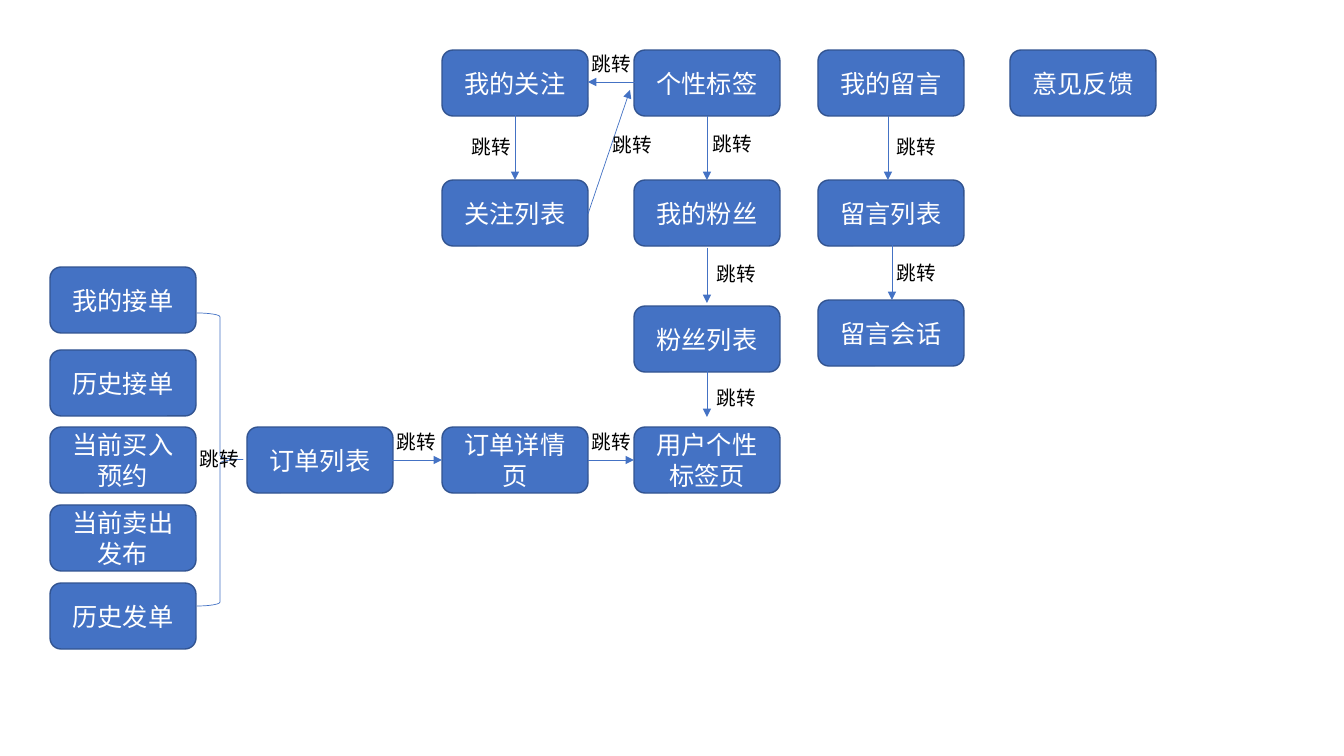
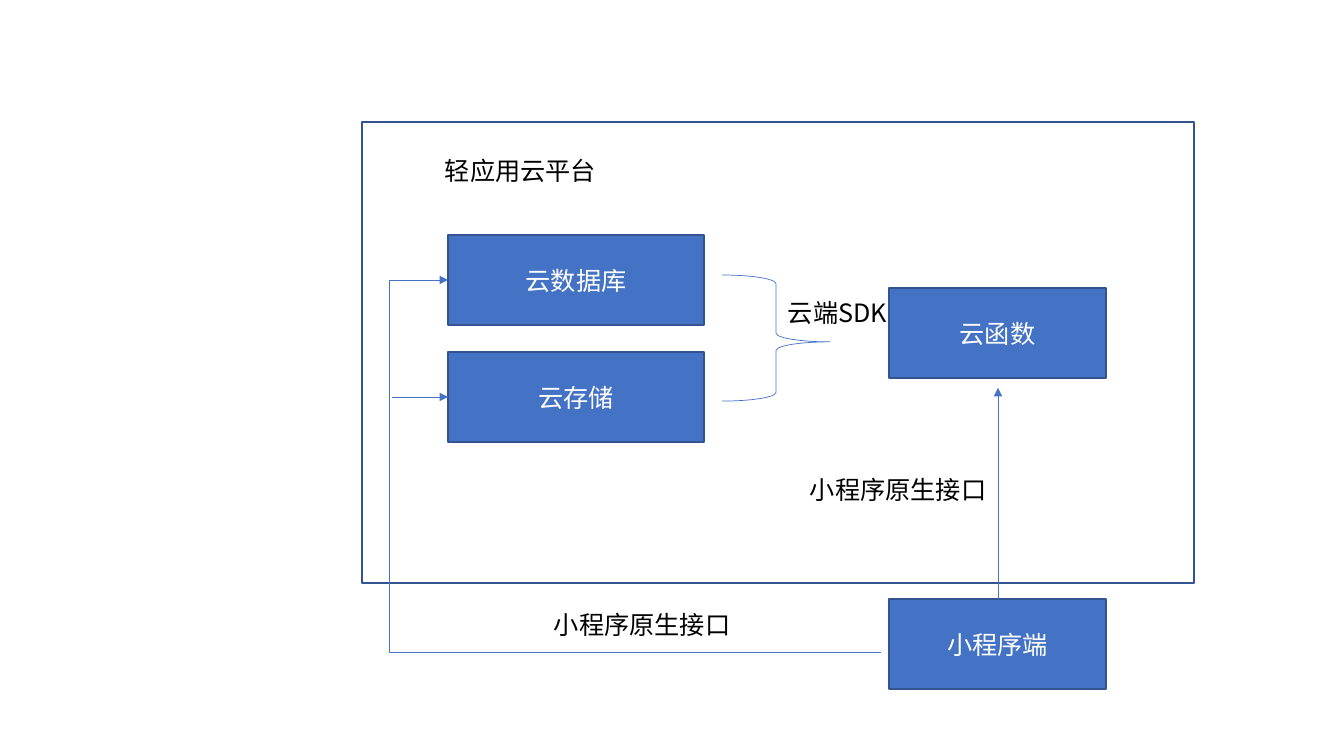
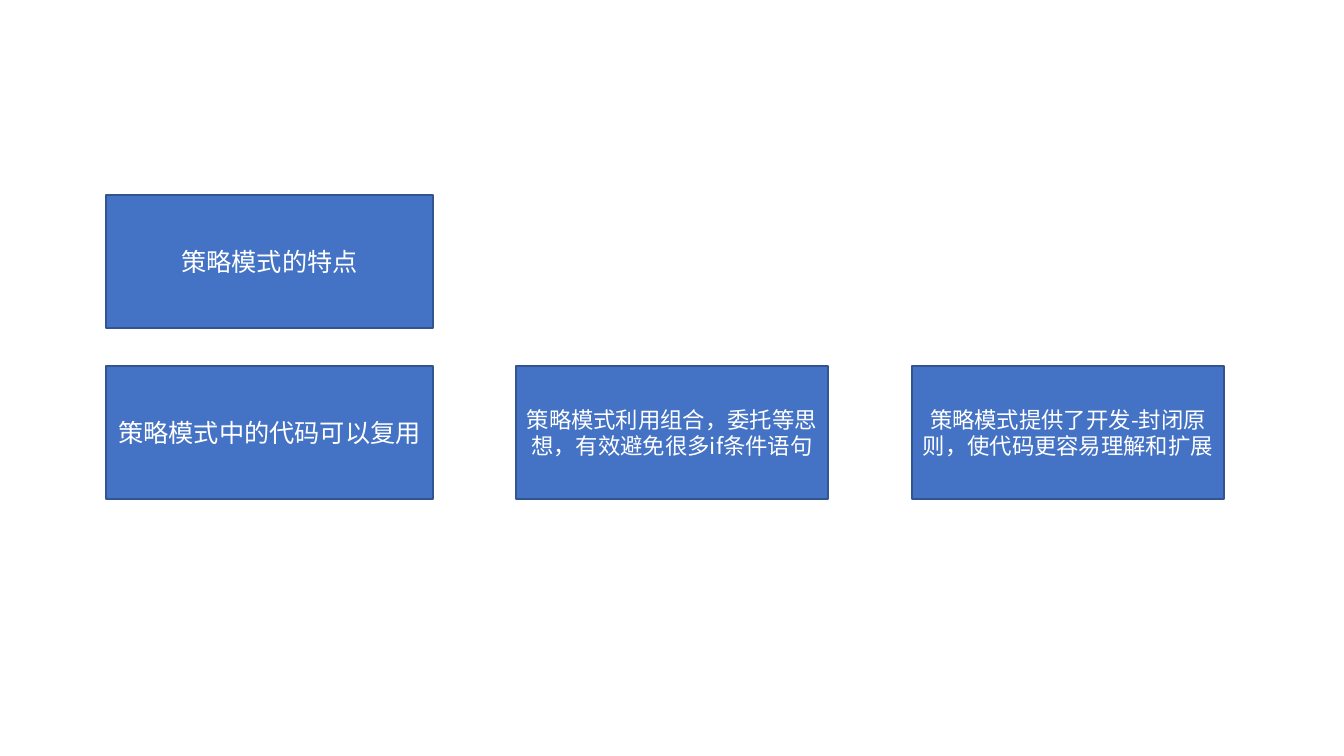
from dataclasses import dataclass

from pptx import Presentation
from pptx.dml.color import RGBColor
from pptx.enum.shapes import MSO_CONNECTOR, MSO_SHAPE
from pptx.enum.text import MSO_ANCHOR, MSO_AUTO_SIZE, PP_ALIGN
from pptx.oxml.ns import qn
from pptx.util import Emu, Pt

RECT, ROUNDED = MSO_SHAPE.RECTANGLE, MSO_SHAPE.ROUNDED_RECTANGLE
LEFT_BRACE, RIGHT_BRACE = MSO_SHAPE.LEFT_BRACE, MSO_SHAPE.RIGHT_BRACE
STRAIGHT, ELBOW = MSO_CONNECTOR.STRAIGHT, MSO_CONNECTOR.ELBOW
CENTER, LEFT = PP_ALIGN.CENTER, PP_ALIGN.LEFT
MIDDLE, TOP = MSO_ANCHOR.MIDDLE, MSO_ANCHOR.TOP
FIT_SHAPE = MSO_AUTO_SIZE.SHAPE_TO_FIT_TEXT


@dataclass(frozen=True)
class Theme:
    font: str = "Noto Sans CJK SC"
    blue: RGBColor = RGBColor(0x44, 0x72, 0xC4)
    edge: RGBColor = RGBColor(0x32, 0x54, 0x91)
    white: RGBColor = RGBColor(0xFF, 0xFF, 0xFF)
    black: RGBColor = RGBColor(0, 0, 0)
    box_size: int = 18
    detail_size: int = 16
    jump_size: int = 14
    edge_width: float = 1
    link_width: float = 0.5


THEME = Theme()
PX = 914400 / 100.8  # EMU per pixel

# ---- Content: page flow ----
# Each column: left edge, then (top, text) of its boxes
FLOW_BOX = (146, 66)
FLOW_COLUMNS = [
    (50, [(267, "我的接单"), (350, "历史接单"), (427, "当前买入预约"),
          (505, "当前卖出发布"), (583, "历史发单")]),
    (247, [(427, "订单列表")]),
    (442, [(50, "我的关注"), (180, "关注列表"), (427, "订单详情页")]),
    (634, [(50, "个性标签"), (180, "我的粉丝"), (306, "粉丝列表"),
           (427, "用户个性标签页")]),
    (818, [(50, "我的留言"), (180, "留言列表"), (300, "留言会话")]),
    (1010, [(50, "意见反馈")]),
]
ORDER_BRACE = (197, 313, 46, 293)
FLOW_ARROWS = [
    ((391, 460), (442, 460)), ((588, 460), (634, 460)),
    ((588, 214), (630, 90)), ((636, 82), (588, 82)),
    ((515, 115), (515, 180)),
    ((707, 116), (707, 180)), ((707, 248), (707, 303)), ((707, 361), (707, 417)),
    ((888, 116), (888, 180)), ((892, 236), (892, 300)),
]
JUMP = "跳转"
JUMP_BOX = (61, 34)
JUMP_SPOTS = [
    (387, 425), (582, 425), (190, 442), (462, 130), (603, 128), (582, 47),
    (703, 127), (707, 257), (707, 381), (887, 130), (887, 256),
]

# ---- Content: cloud architecture ----
CLOUD_FRAME = (362, 122, 832, 461)
CLOUD_BOXES = [
    ("云数据库", (448, 235, 256, 90)), ("云存储", (448, 352, 256, 90)),
    ("云函数", (889, 288, 217, 90)), ("小程序端", (889, 599, 217, 90)),
]
SDK_BRACE = (722, 275, 108, 126)
SDK_BRACE_ADJUST = (0.08, 0.47)
CLOUD_LABELS = [
    ("轻应用云平台", (435, 150, 256, 40)), ("小程序原生接口", (544, 604, 256, 40)),
    ("云端SDK", (778, 292, 148, 40)), ("小程序原生接口", (800, 469, 206, 40)),
]
CLOUD_ARROWS = [((392, 397), (448, 397)), ((998, 599), (998, 388))]
DATABASE_ROUTE = ((881, 652), (448, 280))
ROUTE_BEND_X = 389

# ---- Content: strategy pattern ----
STRATEGY_BOXES = [
    ("策略模式的特点", (106, 195, 327, 133), THEME.box_size),
    ("策略模式中的代码可以复用", (106, 366, 327, 133), THEME.box_size),
    ("策略模式利用组合，委托等思想，有效避免很多if条件语句",
     (516, 366, 312, 133), THEME.detail_size),
    ("策略模式提供了开发-封闭原则，使代码更容易理解和扩展",
     (912, 366, 312, 133), THEME.detail_size),
]


# ---- Helpers ----
def emu(lengths):
    return [Emu(round(n * PX)) for n in lengths]


def write(tf, text, size, color, align, anchor):
    tf.word_wrap = True
    tf.vertical_anchor = anchor
    p = tf.paragraphs[0]
    p.alignment = align
    r = p.add_run()
    r.text = text
    r.font.size = Pt(size)
    r.font.name = THEME.font
    r.font.color.rgb = color
    rpr = r.font._element
    ea = rpr.makeelement(qn("a:ea"), {"typeface": THEME.font})
    rpr.find(qn("a:latin")).addnext(ea)


def add_outline(s, kind, at, color, width):
    sp = s.shapes.add_shape(kind, *emu(at))
    sp.shadow.inherit = False
    sp.fill.background()
    sp.line.color.rgb = color
    sp.line.width = Pt(width)
    return sp


def add_box(s, kind, at, text, size=THEME.box_size):
    sp = add_outline(s, kind, at, THEME.edge, THEME.edge_width)
    sp.fill.solid()
    sp.fill.fore_color.rgb = THEME.blue
    write(sp.text_frame, text, size, THEME.white, CENTER, MIDDLE)


def add_brace(s, kind, at):
    return add_outline(s, kind, at, THEME.blue, THEME.link_width)


def add_label(s, at, text, size):
    tf = s.shapes.add_textbox(*emu(at)).text_frame
    write(tf, text, size, THEME.black, LEFT, TOP)
    tf.auto_size = FIT_SHAPE


def add_arrow(s, start, end, kind=STRAIGHT):
    cxn = s.shapes.add_connector(kind, *emu(start + end))
    cxn.line.color.rgb = THEME.blue
    cxn.line.width = Pt(THEME.link_width)
    ln = cxn.line._get_or_add_ln()
    ln.append(ln.makeelement(qn("a:tailEnd"), {"type": "triangle"}))
    ln.addnext(ln.makeelement(qn("a:effectLst"), {}))
    return cxn


def bend_at(cxn, start, end, x):
    """Place the upright part of an elbow arrow at x."""
    ratio = (start[0] - x) / (start[0] - end[0])
    av = cxn._element.spPr.find(qn("a:prstGeom")).find(qn("a:avLst"))
    guide = {"name": "adj1", "fmla": f"val {round(ratio * 100000)}"}
    av.append(av.makeelement(qn("a:gd"), guide))


# ---- Slides ----
def build_flow(s):
    for left, boxes in FLOW_COLUMNS:
        for top, text in boxes:
            add_box(s, ROUNDED, (left, top) + FLOW_BOX, text)
    add_brace(s, RIGHT_BRACE, ORDER_BRACE)
    for start, end in FLOW_ARROWS:
        add_arrow(s, start, end)
    for spot in JUMP_SPOTS:
        add_label(s, spot + JUMP_BOX, JUMP, THEME.jump_size)


def build_cloud(s):
    add_outline(s, RECT, CLOUD_FRAME, THEME.edge, THEME.edge_width)
    for text, at in CLOUD_BOXES:
        add_box(s, RECT, at, text)
    brace = add_brace(s, LEFT_BRACE, SDK_BRACE)
    brace.rotation = 180
    for i, value in enumerate(SDK_BRACE_ADJUST):
        brace.adjustments[i] = value
    for text, at in CLOUD_LABELS:
        add_label(s, at, text, THEME.box_size)
    route = add_arrow(s, *DATABASE_ROUTE, ELBOW)
    bend_at(route, *DATABASE_ROUTE, ROUTE_BEND_X)
    for start, end in CLOUD_ARROWS:
        add_arrow(s, start, end)


def build_strategy(s):
    for text, at, size in STRATEGY_BOXES:
        add_box(s, RECT, at, text, size)


prs = Presentation()
prs.slide_width, prs.slide_height = emu((1344, 756))
blank = prs.slide_layouts[6]
for build in (build_flow, build_cloud, build_strategy):
    build(prs.slides.add_slide(blank))
prs.save("out.pptx")
